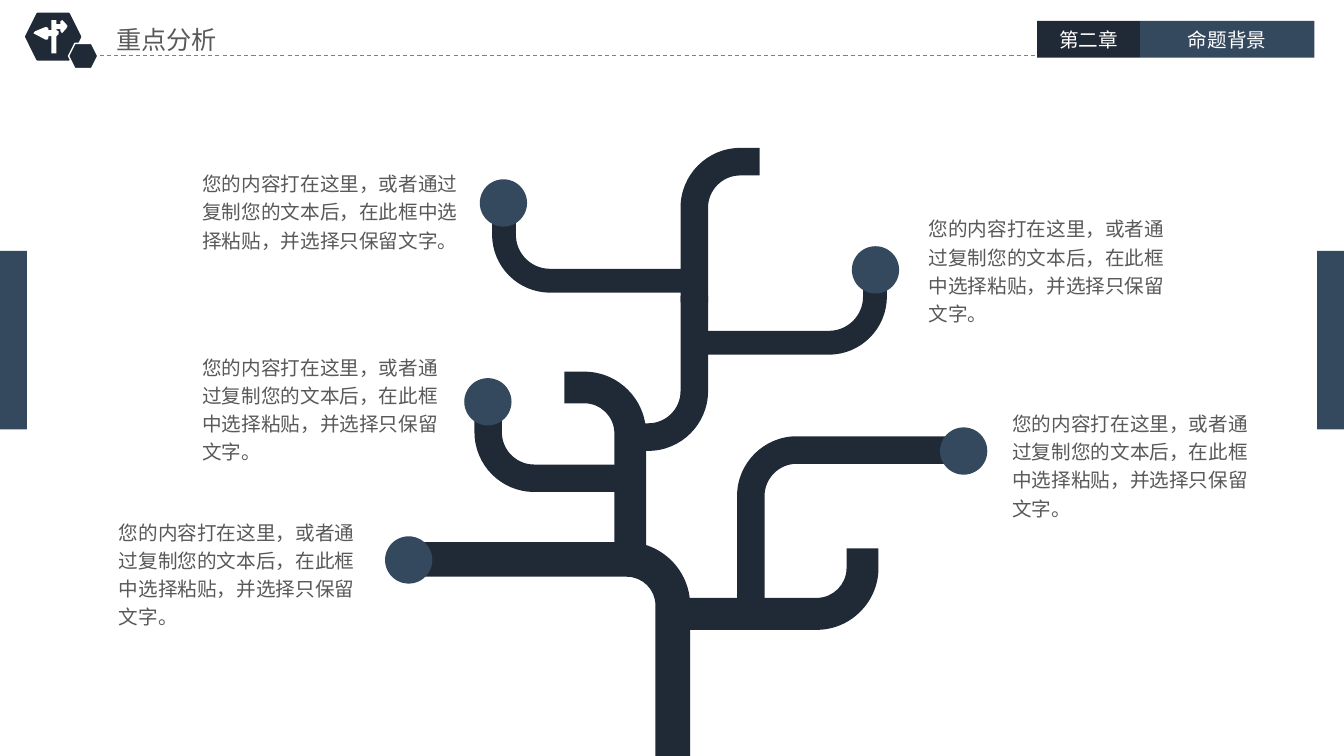
from dataclasses import dataclass
from math import hypot
from pptx import Presentation
from pptx.dml.color import RGBColor as RGB
from pptx.enum.dml import MSO_LINE as Dash
from pptx.enum.shapes import MSO_CONNECTOR as Conn, MSO_SHAPE as Kind
from pptx.enum.text import MSO_ANCHOR as Anchor, MSO_AUTO_SIZE as Fit, PP_ALIGN as Align
from pptx.oxml.xmlchemy import OxmlElement as Node
from pptx.util import Pt


@dataclass
class Theme:
    dark: RGB = RGB(0x20, 0x2A, 0x36)
    blue: RGB = RGB(0x34, 0x49, 0x5E)
    text: RGB = RGB(0x59, 0x59, 0x59)
    rule: RGB = RGB(0x80, 0x80, 0x80)
    white: RGB = RGB(0xFF, 0xFF, 0xFF)
    font: str = "Noto Sans CJK SC"
    head: int = 18
    body: int = 14


look = Theme()
wide, high = 960.5, 540

title = "重点分析"
tabs = [("第二章", 741.2, 73.4, look.dark), ("命题背景", 814.8, 124.6, look.blue)]
note = "您的内容打在这里，或者通过复制您的文本后，在此框中选择粘贴，并选择只保留文字。"
notes = [
    (77.8, 365, 190.8, 88.6),
    (137.5, 247, 189.4, 88.6),
    (716.4, 287.3, 183.6, 88.6),
    (656.6, 148.3, 187.9, 88.6),
    (137.5, 116, 198.7, 68.4),
]
buds = [(292.1, 400), (348.7, 287), (688.7, 322.2), (625.7, 192.8), (359.8, 145)]
bud = 33.8

bend, curve = 32.8, 0.55
limbs = [
    ((291, 399.6), (480.8, 399.6), (480.8, 540), 24.8),
    ((481, 438.5), (616.4, 438.5), (616.4, 391.8), 22.8),
    ((499.5, 244.8), (625.3, 244.8), (625.3, 198.5), 17),
    ((403.3, 276.8), (450.4, 276.8), (450.4, 400.2), 22.6),
    ((536.6, 442), (536.6, 321.5), (689.8, 321.5), 19.7),
    ((493, 200.5), (360.2, 200.5), (360.2, 154.2), 17),
    ((450, 341.6), (348.9, 341.6), (348.9, 295.2), 19.6),
    ((450, 312.2), (496.2, 312.2), (496.2, 211.4), 19.7),
    ((496.2, 216), (496.2, 115.5), (542.9, 115.5), 19.7),
]
sign = [
    (47.9, 18), (44.6, 14.4), (43.2, 15.1), (43.2, 17.3), (40.3, 17.3),
    (40.3, 14.4), (36.7, 14.4), (36.7, 21.6), (34.6, 21.6), (34.6, 20.2),
    (33.4, 19.4), (32.4, 19.4), (25.2, 22.3), (23.8, 23.8), (25.2, 24.5),
    (32.4, 28.3), (33.8, 28.3), (34.6, 27.4), (34.6, 25.9), (36.7, 25.9),
    (36.7, 38.2), (40.3, 38.2), (40.3, 25.9), (41.8, 24.5), (41.8, 22.3),
    (40.3, 21.6), (40.3, 20.9), (43.2, 20.9), (43.2, 22.3), (44.3, 23.8),
    (47.5, 20.2), (48.2, 18.7),
]


def apply(item, form):
    for key, val in form.items():
        setattr(item, key, val)


def paint(shape, fill, edge=None, width=1):
    shape.shadow.inherit = False
    shape.fill.solid()
    shape.fill.fore_color.rgb = fill
    if edge is None:
        shape.line.fill.background()
    else:
        shape.line.color.rgb = edge
        shape.line.width = Pt(width)


def place(kind, x, y, w, h, *style):
    shape = slide.shapes.add_shape(kind, Pt(x), Pt(y), Pt(w), Pt(h))
    paint(shape, *style)
    return shape


def write(shape, text, size, color, align, anchor, pad, lead=1.0):
    frame = shape.text_frame
    apply(frame, {
        "word_wrap": True, "auto_size": Fit.NONE, "vertical_anchor": anchor,
        "margin_left": Pt(pad), "margin_right": Pt(pad),
        "margin_top": Pt(pad / 2), "margin_bottom": Pt(pad / 2),
    })
    para = frame.paragraphs[0]
    apply(para, {"alignment": align, "line_spacing": lead})
    run = para.add_run()
    run.text = text
    apply(run.font, {"name": look.font, "size": Pt(size), "bold": False})
    run.font.color.rgb = color
    asian = Node("a:ea")
    asian.set("typeface", look.font)
    run._r.get_or_add_rPr().append(asian)


def trace(points, fill, bends=()):
    grid = [(round(x * 100), round(y * 100)) for x, y in points]
    pen = slide.shapes.build_freeform(*grid[0], scale=Pt(1) / 100)
    pen.add_line_segments(grid[1:], close=True)
    shape = pen.convert_to_shape()
    paint(shape, fill)
    track = shape._element.xpath(".//a:path")[0]
    steps = list(track)
    for first in bends:
        cubic = Node("a:cubicBezTo")
        track.replace(steps[first], cubic)
        for step in steps[first:first + 3]:
            cubic.append(step[0])
        for step in steps[first + 1:first + 3]:
            track.remove(step)


def unit(a, b):
    dx, dy = b[0] - a[0], b[1] - a[1]
    size = hypot(dx, dy)
    return dx / size, dy / size


def side(start, turn, end, off):
    u, v = unit(start, turn), unit(turn, end)
    rad = bend + off
    pull = rad * (1 - curve)

    def move(point, along, cross):
        return tuple(p + along * a + cross * b for p, a, b in zip(point, u, v))

    tip = move(turn, off, -off)
    return [move(start, 0, -off), move(tip, -rad, 0), move(tip, -pull, 0),
            move(tip, 0, pull), move(tip, 0, rad), move(end, off, 0)]


deck = Presentation()
apply(deck, {"slide_width": Pt(wide), "slide_height": Pt(high)})
slide = deck.slides.add_slide(deck.slide_layouts[5])

head = slide.shapes.title
apply(head, {"left": Pt(78.2), "top": Pt(14.6), "width": Pt(147.6), "height": Pt(27.4)})
write(head, title, look.head, look.text, Align.LEFT, Anchor.MIDDLE, 5)

place(Kind.HEXAGON, 18.9, 10, 38.2, 32.4, look.dark, look.dark, 2)
rule = slide.shapes.add_connector(Conn.STRAIGHT, Pt(66.2), Pt(39.6), Pt(740.9), Pt(39.6))
apply(rule.line, {"width": Pt(0.75), "dash_style": Dash.DASH})
rule.line.color.rgb = look.rule
rule._element.spPr.append(Node("a:effectLst"))
place(Kind.HEXAGON, 49, 31, 20.9, 18, look.dark, look.white)
trace(sign, look.white)

for text, x, w, fill in tabs:
    tab = place(Kind.RECTANGLE, x, 14.9, w, 26.3, fill)
    write(tab, text, look.body, look.white, Align.CENTER, Anchor.MIDDLE, 5)

bar = 19.2
for x in (0, wide - bar):
    place(Kind.RECTANGLE, x, 179.3, bar, 127.4, look.blue)

for start, turn, end, width in limbs:
    outer, inner = (side(start, turn, end, off) for off in (width / 2, -width / 2))
    trace(outer + inner[::-1], look.dark, (2, 8))

for x, y in buds:
    place(Kind.OVAL, x - bud / 2, y - bud / 2, bud, bud, look.blue)

for spot in notes:
    box = slide.shapes.add_textbox(*map(Pt, spot))
    write(box, note, look.body, look.text, Align.LEFT, Anchor.TOP, 7.2, 1.2)

deck.save("out.pptx")
